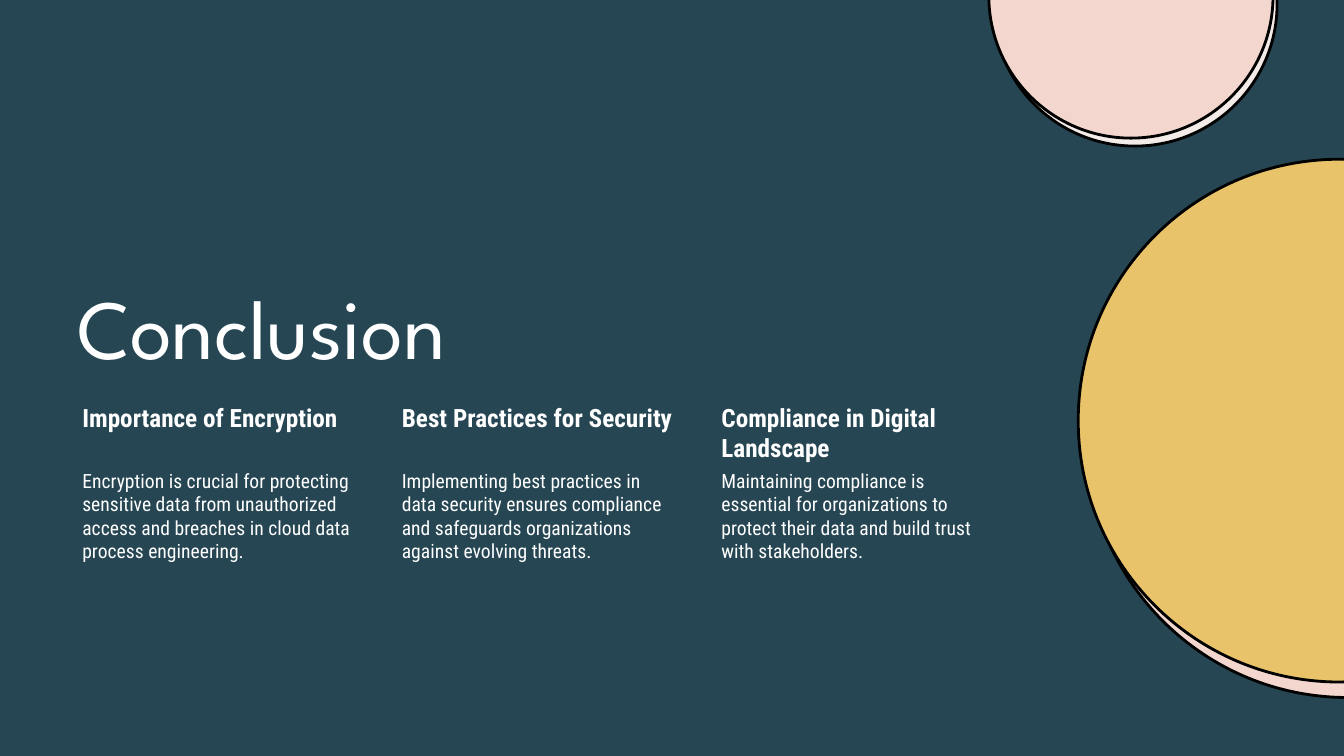
import math

from pptx import Presentation
from pptx import util as u
from pptx.dml.color import RGBColor
from pptx.enum import text
from pptx.oxml import ns

NAVY = RGBColor(0x26, 0x46, 0x53)
WHITE = RGBColor(0xFF, 0xFF, 0xFF)
BLACK = RGBColor(0, 0, 0)
PINK = RGBColor(0xF3, 0xD6, 0xCD)
GOLD = RGBColor(0xE9, 0xC3, 0x69)
CREAM = RGBColor(0xF3, 0xEB, 0xE8)

TITLE = dict(name="League Spartan", size=u.Pt(60))
HEAD = dict(name="Roboto Condensed", size=u.Pt(18), bold=True)
BODY = dict(name="Roboto Condensed", size=u.Pt(14))

POINTS = [
    ("Importance of Encryption",
     "Encryption is crucial for protecting sensitive data from unauthorized "
     "access and breaches in cloud data process engineering."),
    ("Best Practices for Security",
     "Implementing best practices in data security ensures compliance and "
     "safeguards organizations against evolving threats."),
    ("Compliance in Digital Landscape",
     "Maintaining compliance is essential for organizations to protect their "
     "data and build trust with stakeholders."),
]


class Deck:
    """Draws styled elements on a grid of 40 columns by 22.5 rows."""

    def __init__(self):
        self.prs = Presentation()
        self.prs.slide_height = u.Inches(7.5)
        self.unit = self.prs.slide_height / 22.5
        self.prs.slide_width = round(40 * self.unit)
        self.slide = self.prs.slides.add_slide(self.prs.slide_layouts[6])
        fill = self.slide.background.fill
        fill.solid()
        fill.fore_color.rgb = NAVY

    def size(self, *cells):
        return [round(c * self.unit) for c in cells]

    def disc(self, place, gap, color):
        half = math.sqrt(1 - gap ** 2)
        bend = 4 / 3 * (math.sqrt(2) - 1)
        cut = [(gap, half), (gap, -half), (0, -1)]
        arcs = [(-bend, -1), (-1, -bend), (-1, 0),
                (-1, bend), (-bend, 1), (0, 1)]
        dots = [self.size(*place(*dot)) for dot in cut + arcs]
        pen = self.slide.shapes.build_freeform(*dots[-1])
        pen.add_line_segments(dots, close=True)
        shape = pen.convert_to_shape()
        self.curve(shape, len(cut))
        shape.shadow.inherit = False
        shape.fill.solid()
        shape.fill.fore_color.rgb = color
        shape.line.color.rgb = BLACK
        shape.line.width = u.Pt(2)

    def curve(self, shape, first):
        lines = list(shape.element.iter(ns.qn("a:lnTo")))[first:]
        for i in range(0, len(lines), 3):
            bow = lines[i].makeelement(ns.qn("a:cubicBezTo"))
            lines[i].addprevious(bow)
            for line in lines[i:i + 3]:
                bow.append(line[0])
                line.getparent().remove(line)

    def side(self, col, row, rad, color, edge=40.35):
        self.disc(lambda a, b: (col + rad * a, row + rad * b),
                  (edge - col) / rad, color)

    def top(self, col, row, rad, color, edge=-0.24):
        self.disc(lambda a, b: (col + rad * b, row - rad * a),
                  (row - edge) / rad, color)

    def text(self, words, box, font, frame, spacing=None):
        tf = self.slide.shapes.add_textbox(*self.size(*box)).text_frame
        for key, val in dict(frame, word_wrap=True).items():
            setattr(tf, key, val)
        para = tf.paragraphs[0]
        para.line_spacing = spacing
        run = para.add_run()
        run.text = words
        for key, val in font.items():
            setattr(run.font, key, val)
        run.font.color.rgb = WHITE


def inset(pad):
    edges = dict.fromkeys(("margin_top", "margin_right", "margin_bottom"),
                          u.Inches(pad))
    return dict(edges, margin_left=u.Inches(0.15))


def main():
    deck = Deck()
    deck.side(40.11, 12.98, 7.78, PINK)
    deck.side(39.87, 12.52, 7.78, GOLD)
    deck.top(33.78, 0.12, 4.23, CREAM)
    deck.top(33.66, -0.12, 4.23, PINK)
    for i, (head, body) in enumerate(POINTS):
        col = 2 + 9.51 * i
        deck.text(head, (col, 11.88, 8.64, 2), HEAD, inset(0.03))
        deck.text(body, (col, 13.89, 8.64, 4.11), BODY, inset(0.02))
    deck.text("Conclusion", (2, 5.36, 27.66, 6.03), TITLE,
              dict(vertical_anchor=text.MSO_ANCHOR.BOTTOM), 0.9)
    deck.prs.save("out.pptx")


if __name__ == "__main__":
    main()
